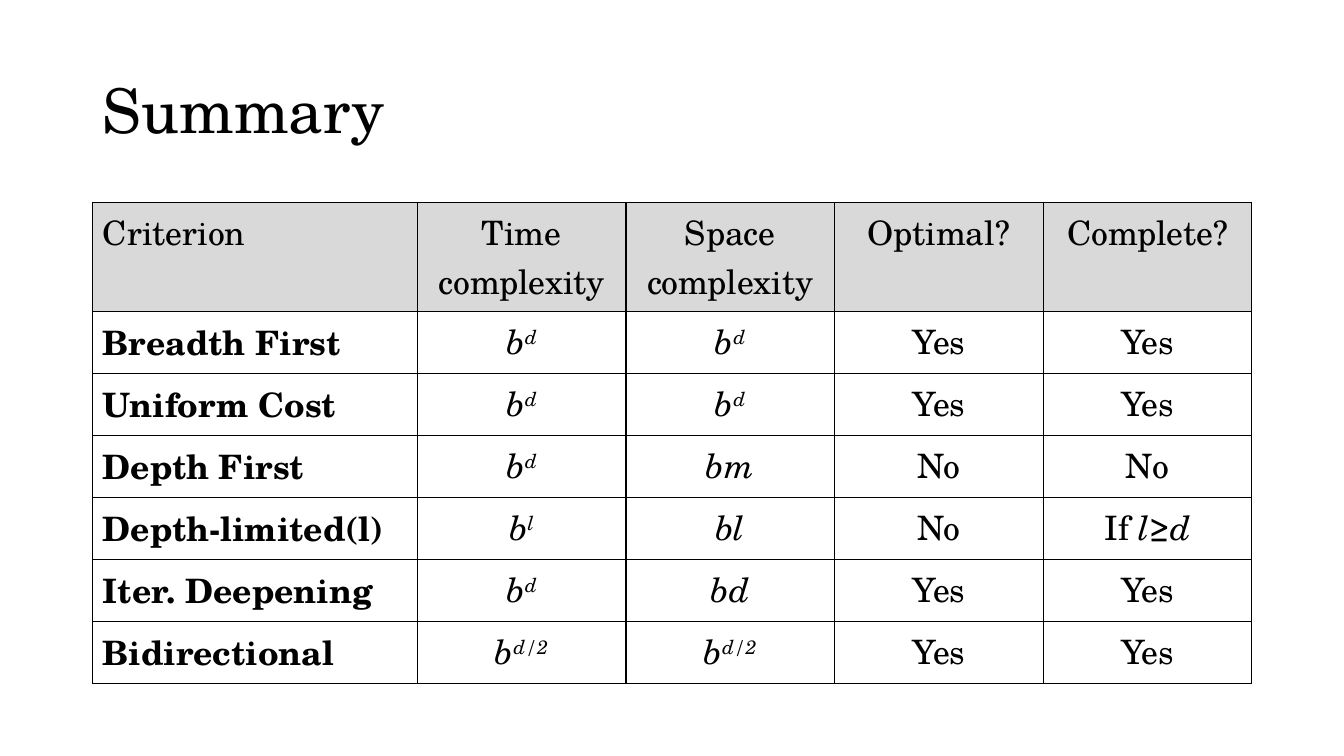
from dataclasses import dataclass

from lxml import etree
from pptx import Presentation
from pptx import util as u
from pptx.dml.color import RGBColor
from pptx.enum import text
from pptx.oxml import ns

SLIDE_WIDTH, SLIDE_HEIGHT = u.Inches(13.33), u.Inches(7.5)
FONT = "TeX Gyre Schola"
COLOURS = {"ink": "000000", "header": "D9D9D9", "body": "FFFFFF"}

# Shares of the slide's width and height
LEFT, WIDTH = 0.069, 0.8625
TITLE_TOP, TITLE_HEIGHT = 0.0533, 0.1933
TABLE_TOP, ROW_HEIGHT = 0.268, 0.0547
COLUMN_SHARES = (0.28, 0.18, 0.18, 0.18, 0.18)  # of the table's width


@dataclass(frozen=True)
class Piece:
    content: str
    bold: bool = False
    italic: bool = False
    raised: bool = False


Cell = tuple[Piece, ...]


@dataclass(frozen=True)
class Strategy:
    name: str
    time: Cell
    space: Cell
    optimal: Cell
    complete: Cell

    def cells(self) -> list[Cell]:
        name = (Piece(self.name, bold=True),)
        return [name, self.time, self.space, self.optimal, self.complete]


def plain(content: str) -> Cell:
    return (Piece(content),)


def math(content: str) -> Cell:
    return (Piece(content, italic=True),)


def power(exponent: str) -> Cell:
    return (Piece("b", italic=True), Piece(exponent, italic=True, raised=True))


YES, NO = plain("Yes"), plain("No")
HEADINGS = ("Criterion", "Time complexity", "Space complexity", "Optimal?", "Complete?")
STRATEGIES = (
    Strategy("Breadth First", power("d"), power("d"), YES, YES),
    Strategy("Uniform Cost", power("d"), power("d"), YES, YES),
    Strategy("Depth First", power("d"), math("bm"), NO, NO),
    Strategy("Depth-limited(l)", power("l"), math("bl"), NO, plain("If ") + math("l≥d")),
    Strategy("Iter. Deepening", power("d"), math("bd"), YES, YES),
    Strategy("Bidirectional", power("d/2"), power("d/2"), YES, YES),
)


def across(share: float) -> int:
    return round(SLIDE_WIDTH * share)


def down(share: float) -> int:
    return round(SLIDE_HEIGHT * share)


def add_piece(paragraph, piece: Piece, size: int) -> None:
    run = paragraph.add_run()
    run.text = piece.content
    font = run.font
    font.name, font.size = FONT, u.Pt(size)
    font.bold, font.italic = piece.bold, piece.italic
    font.color.rgb = RGBColor.from_string(COLOURS["ink"])
    if piece.raised:
        font._element.set("baseline", "30000")


def add_borders(cell) -> None:
    properties = cell._tc.get_or_add_tcPr()
    for position, side in enumerate(("lnL", "lnR", "lnT", "lnB")):
        line = etree.Element(ns.qn(f"a:{side}"), w=str(u.Pt(1)))
        fill = etree.SubElement(line, ns.qn("a:solidFill"))
        etree.SubElement(fill, ns.qn("a:srgbClr"), val=COLOURS["ink"])
        properties.insert(position, line)


def add_title(slide) -> None:
    title = slide.shapes.title
    title.left, title.top = across(LEFT), down(TITLE_TOP)
    title.width, title.height = across(WIDTH), down(TITLE_HEIGHT)
    title.text_frame.vertical_anchor = text.MSO_ANCHOR.MIDDLE
    paragraph = title.text_frame.paragraphs[0]
    paragraph.alignment = text.PP_ALIGN.LEFT
    paragraph.line_spacing = 0.9
    add_piece(paragraph, Piece("Summary"), 44)


def add_summary_table(slide) -> None:
    rows = [[plain(heading) for heading in HEADINGS]]
    rows += [strategy.cells() for strategy in STRATEGIES]
    table = slide.shapes.add_table(
        len(rows), len(HEADINGS), across(LEFT), down(TABLE_TOP),
        across(WIDTH), down(ROW_HEIGHT) * len(rows),
    ).table
    for column, share in zip(table.columns, COLUMN_SHARES):
        column.width = across(WIDTH * share)
    for row_index, row in enumerate(rows):
        table.rows[row_index].height = down(ROW_HEIGHT)
        fill = COLOURS["body" if row_index else "header"]
        for column_index, pieces in enumerate(row):
            cell = table.cell(row_index, column_index)
            cell.fill.solid()
            cell.fill.fore_color.rgb = RGBColor.from_string(fill)
            add_borders(cell)
            paragraph = cell.text_frame.paragraphs[0]
            paragraph.alignment = text.PP_ALIGN.CENTER if column_index else text.PP_ALIGN.LEFT
            for piece in pieces:
                add_piece(paragraph, piece, 24)


def main() -> None:
    presentation = Presentation()
    presentation.slide_width, presentation.slide_height = SLIDE_WIDTH, SLIDE_HEIGHT
    slide = presentation.slides.add_slide(presentation.slide_layouts.get_by_name("Title Only"))
    add_title(slide)
    add_summary_table(slide)
    presentation.save("out.pptx")


if __name__ == "__main__":
    main()
